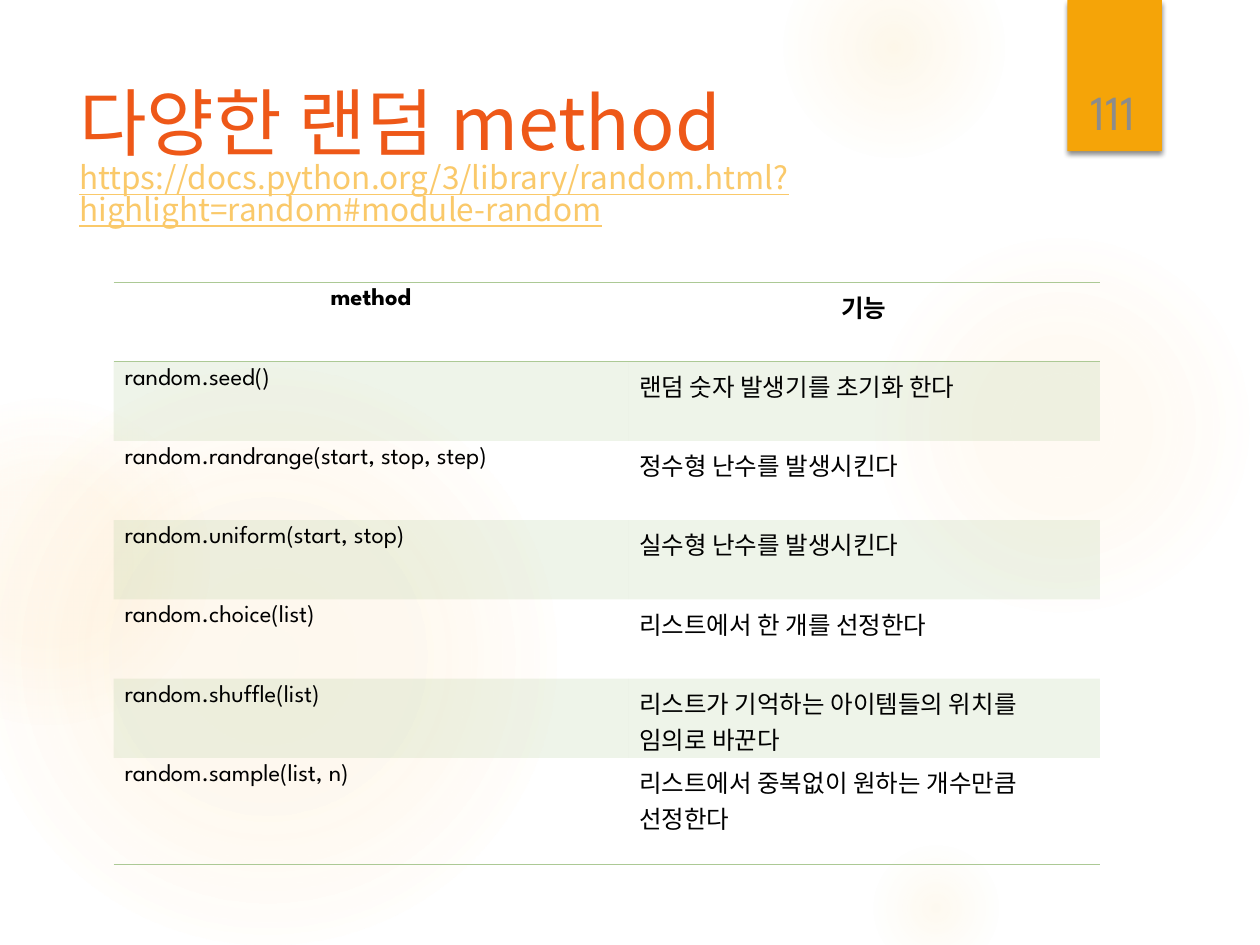
from dataclasses import dataclass

from lxml.etree import SubElement
from pptx import Presentation
from pptx.dml.color import RGBColor
from pptx.enum.shapes import MSO_SHAPE
from pptx.enum.text import MSO_ANCHOR, PP_ALIGN
from pptx.oxml.ns import qn
from pptx.util import Pt


@dataclass(frozen=True)
class Theme:
    glow: str = "FAC96A"
    ribbon: str = "F5A408"
    title: str = "EE5818"
    green: str = "ACC995"
    text: str = "000000"
    number: str = "8C8C8C"
    latin_font: str = "League Spartan"
    korean_font: str = "Noto Sans CJK KR"
    title_size: int = 42
    link_size: int = 18
    table_size: int = 14
    number_size: int = 28


@dataclass(frozen=True)
class Glow:
    left: float
    top: float
    diameter: float
    stops: tuple[tuple[int, int], ...]  # (position, opacity) in percent


THEME = Theme()

GLOWS = (
    Glow(496, 132, 222, ((0, 7), (36, 6), (69, 0))),
    Glow(448, -36, 126, ((0, 14), (36, 7), (73, 0))),
    Glow(496, 480, 78, ((0, 10), (31, 5), (66, 0))),
    Glow(-12, 210, 330, ((0, 11), (36, 10), (75, 0))),
    Glow(-66, 228, 186, ((0, 8), (36, 8), (72, 0))),
)

METHODS = (
    ("method", "기능"),
    ("random.seed()", "랜덤 숫자 발생기를 초기화 한다"),
    ("random.randrange(start, stop, step)", "정수형 난수를 발생시킨다"),
    ("random.uniform(start, stop)", "실수형 난수를 발생시킨다"),
    ("random.choice(list)", "리스트에서 한 개를 선정한다"),
    ("random.shuffle(list)", "리스트가 기억하는 아이템들의 위치를 임의로 바꾼다"),
    ("random.sample(list, n)", "리스트에서 중복없이 원하는 개수만큼 선정한다"),
)
COLUMN_WIDTHS = (294, 269.5)
ROW_HEIGHT = 45.3
LAST_ROW_HEIGHT = 61


def add_element(parent, tag: str, **attributes):
    return SubElement(parent, qn(tag), {key: str(value) for key, value in attributes.items()})


def add_color(parent, color: str, opacity: int = 100) -> None:
    element = add_element(parent, "a:srgbClr", val=color)
    if opacity < 100:
        add_element(element, "a:alpha", val=opacity * 1000)


def set_font(font, size: float, color: str, name: str, bold: bool = False) -> None:
    """Set the Latin font, with the Korean font for East Asian text."""
    font.size = Pt(size)
    font.color.rgb = RGBColor.from_string(color)
    font.name = name
    font.bold = bold
    add_element(font._element, "a:ea", typeface=THEME.korean_font)


def add_glow(slide, glow: Glow) -> None:
    shape = slide.shapes.add_shape(
        MSO_SHAPE.OVAL, Pt(glow.left), Pt(glow.top), Pt(glow.diameter), Pt(glow.diameter)
    )
    shape.line.fill.background()
    properties = shape._element.spPr
    gradient = add_element(properties, "a:gradFill", rotWithShape=1)
    properties.find(qn("a:prstGeom")).addnext(gradient)
    stops = add_element(gradient, "a:gsLst")
    for position, opacity in glow.stops:
        add_color(add_element(stops, "a:gs", pos=position * 1000), THEME.glow, opacity)
    circle = add_element(gradient, "a:path", path="circle")
    add_element(circle, "a:fillToRect", l=50000, t=50000, r=50000, b=50000)
    shape.shadow.inherit = False


def add_ribbon(slide) -> None:
    shape = slide.shapes.add_shape(MSO_SHAPE.RECTANGLE, Pt(610), Pt(0), Pt(54), Pt(86.4))
    shape.fill.solid()
    shape.fill.fore_color.rgb = RGBColor.from_string(THEME.ribbon)
    shape.line.fill.background()
    shape.shadow.inherit = False
    effects = shape._element.spPr.find(qn("a:effectLst"))
    shadow = add_element(
        effects, "a:outerShdw", blurRad=Pt(3), dist=Pt(2), dir=5400000, rotWithShape=0
    )
    add_color(shadow, THEME.text, 45)


def add_text_frame(slide, left: float, top: float, width: float, height: float, anchor: MSO_ANCHOR):
    text_frame = slide.shapes.add_textbox(Pt(left), Pt(top), Pt(width), Pt(height)).text_frame
    text_frame.word_wrap = True
    text_frame.vertical_anchor = anchor
    return text_frame


def add_title(slide) -> None:
    text_frame = add_text_frame(slide, 38.2, 36, 555.8, 110.2, MSO_ANCHOR.MIDDLE)
    paragraph = text_frame.paragraphs[0]
    paragraph.line_spacing = 0.83
    heading = paragraph.add_run()
    heading.text = "다양한 랜덤 method"
    set_font(heading.font, THEME.title_size, THEME.title, THEME.korean_font)
    paragraph.add_line_break()
    address = paragraph.add_run()
    address.text = "https://docs.python.org/3/library/random.html?highlight=random#module-random"
    set_font(address.font, THEME.link_size, THEME.glow, THEME.korean_font)
    address.font.underline = True


def set_borders(cell, top: bool, bottom: bool) -> None:
    properties = cell._tc.get_or_add_tcPr()
    for tag, visible in (("a:lnL", False), ("a:lnR", False), ("a:lnT", top), ("a:lnB", bottom)):
        line = add_element(properties, tag, w=Pt(1))
        if visible:
            add_color(add_element(line, "a:solidFill"), THEME.green)
        else:
            add_element(line, "a:noFill")


def fill_cell(cell, banded: bool) -> None:
    if not banded:
        cell.fill.background()
        return
    cell.fill.solid()
    cell.fill.fore_color.rgb = RGBColor.from_string(THEME.green)
    color = cell._tc.tcPr.find(qn("a:solidFill")).find(qn("a:srgbClr"))
    add_element(color, "a:alpha", val=20000)


def add_method_table(slide) -> None:
    last = len(METHODS) - 1
    height = ROW_HEIGHT * last + LAST_ROW_HEIGHT
    table = slide.shapes.add_table(
        len(METHODS), len(COLUMN_WIDTHS), Pt(65), Pt(161.3), Pt(sum(COLUMN_WIDTHS)), Pt(height)
    ).table
    table.horz_banding = False
    table.first_row = False
    for column, width in zip(table.columns, COLUMN_WIDTHS):
        column.width = Pt(width)
    for row_index, texts in enumerate(METHODS):
        header = row_index == 0
        table.rows[row_index].height = Pt(LAST_ROW_HEIGHT if row_index == last else ROW_HEIGHT)
        for column_index, text in enumerate(texts):
            cell = table.cell(row_index, column_index)
            cell.margin_left = cell.margin_right = Pt(6.2)
            cell.margin_top = cell.margin_bottom = Pt(3.6)
            cell.text = text
            paragraph = cell.text_frame.paragraphs[0]
            paragraph.alignment = PP_ALIGN.CENTER if header else PP_ALIGN.LEFT
            # East Asian text takes its font from the run
            set_font(paragraph.runs[0].font, THEME.table_size, THEME.text, THEME.latin_font, header)
            set_borders(cell, top=row_index <= 1, bottom=row_index in (0, last))
            fill_cell(cell, banded=row_index % 2 == 1)


def add_slide_number(slide) -> None:
    text_frame = add_text_frame(slide, 611.3, 23, 49.7, 60.5, MSO_ANCHOR.BOTTOM)
    paragraph = text_frame.paragraphs[0]
    paragraph.text = "111"
    paragraph.alignment = PP_ALIGN.CENTER
    set_font(paragraph.font, THEME.number_size, THEME.number, THEME.latin_font)


def main() -> None:
    presentation = Presentation()
    presentation.slide_width, presentation.slide_height = Pt(720), Pt(540)
    slide = presentation.slides.add_slide(presentation.slide_layouts[6])
    for glow in GLOWS:
        add_glow(slide, glow)
    add_ribbon(slide)
    add_title(slide)
    add_method_table(slide)
    add_slide_number(slide)
    presentation.save("out.pptx")


if __name__ == "__main__":
    main()
